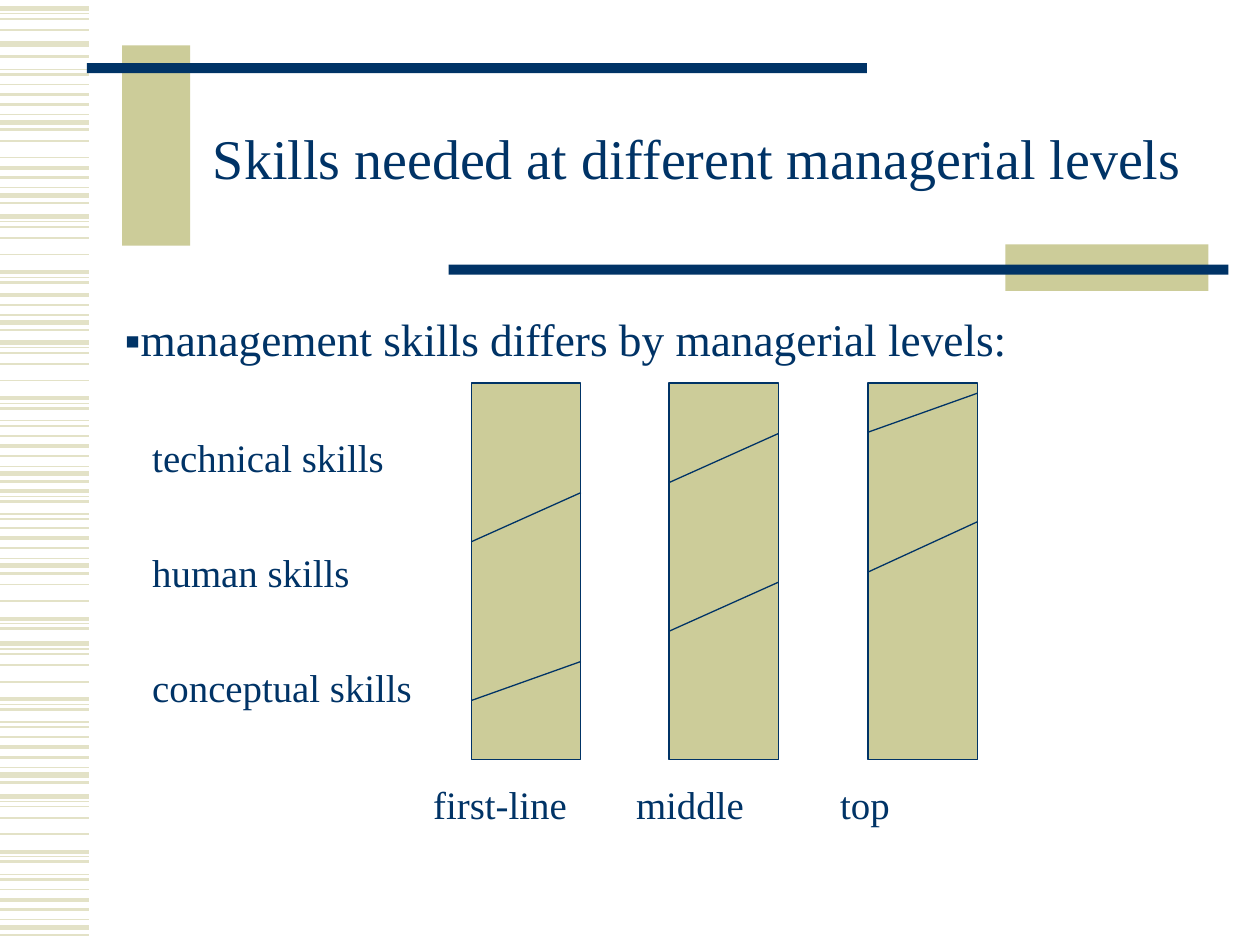
from lxml.etree import SubElement
from pptx import Presentation
from pptx.dml.color import RGBColor
from pptx.enum.shapes import MSO_CONNECTOR as Connector, MSO_SHAPE as Shape
from pptx.enum.text import MSO_ANCHOR as Anchor, PP_ALIGN as Align
from pptx.oxml.ns import qn
from pptx.util import Emu, Pt

NAVY = RGBColor(0x00, 0x33, 0x66)
KHAKI = RGBColor(0xCC, 0xCC, 0x99)
PALE = RGBColor(0xE3, 0xE2, 0xC7)
FONT = "Times New Roman"
EMU_PER_PX = 9144

SHORT_MOTIF = [(0, 1), (8, 2.25), (16, 1.5), (24, 0.75), (30, 3), (36, 1.5)]
LONG_MOTIF = [(0, 3), (4, 0.75), (8, 1), (17, 1), (30, 1),
              (44, 2.25), (48, 0.75), (52, 1.5), (62, 0.75), (66, 1.5)]
STRIPE_RUNS = [
    (7, LONG_MOTIF[:4]), (35, LONG_MOTIF[:1]), (-7, LONG_MOTIF[7:]),
    (67, SHORT_MOTIF), (82, LONG_MOTIF[4:5]), (125, SHORT_MOTIF),
    (172, LONG_MOTIF[:8]), (226, SHORT_MOTIF[1:]), (272, LONG_MOTIF),
    (346, SHORT_MOTIF), (346, LONG_MOTIF[5:]), (419, SHORT_MOTIF),
    (447, LONG_MOTIF[3:8]), (511, LONG_MOTIF), (585, SHORT_MOTIF),
    (632, LONG_MOTIF), (706, SHORT_MOTIF),
]
BARS = [
    ("first-line", 0, -40, [(126, 87), (252, 221)]),
    ("middle", 157, -36, [(79, 40), (197, 158)]),
    ("top", 315, -32, [(39, 8), (150, 110)]),
]
SKILLS = ["technical skills", "human skills", "conceptual skills"]


def px(length):
    return Emu(length * EMU_PER_PX)


def add_line(slide, start, end, color, weight):
    line = slide.shapes.add_connector(
        Connector.STRAIGHT, *map(px, start), *map(px, end))
    line.line.color.rgb = color
    line.line.width = Pt(weight)
    SubElement(line._element.spPr, qn("a:effectLst"))


def add_block(slide, left, top, width, height, fill, outline=None):
    shape = slide.shapes.add_shape(
        Shape.RECTANGLE, *map(px, (left, top, width, height)))
    shape.shadow.inherit = False
    shape.fill.solid()
    shape.fill.fore_color.rgb = fill
    if outline is None:
        shape.line.fill.background()
    else:
        shape.line.color.rgb = outline
        shape.line.width = Pt(0.75)


def add_text_frame(slide, left, top, width, height):
    box = slide.shapes.add_textbox(*map(px, (left, top, width, height)))
    box.text_frame.word_wrap = True
    return box.text_frame


def write(paragraph, text, size):
    paragraph.text = text
    paragraph.font.name = FONT
    paragraph.font.size = Pt(size)
    paragraph.font.color.rgb = NAVY


def add_stripes(slide, left, top, width):
    for start, motif in STRIPE_RUNS:
        for offset, weight in motif:
            y = top + start + offset
            add_line(slide, (left, y), (left + width, y), PALE, weight)


def add_header(slide, left, top):
    add_block(slide, left + 28, top, 54, 159, KHAKI)
    add_block(slide, left, top + 14, 619, 8, NAVY)
    add_block(slide, left + 729, top + 158, 161, 37, KHAKI)
    add_block(slide, left + 287, top + 174, 619, 8, NAVY)

    frame = add_text_frame(slide, left + 81, top + 30, 807, 125)
    frame.vertical_anchor = Anchor.MIDDLE
    paragraph = frame.paragraphs[0]
    write(paragraph, "Skills needed at different managerial levels", 32)
    paragraph.alignment = Align.CENTER
    paragraph.line_spacing = 0.85


def add_body(slide, left, top, width, height):
    frame = add_text_frame(slide, left, top, width, height)
    write(frame.paragraphs[0],
          "▪management skills differs by managerial levels:", 25.9)
    for skill in SKILLS:
        paragraph = frame.add_paragraph()
        write(paragraph, skill, 22.2)
        paragraph.space_before = Pt(39)
        paragraph._p.get_or_add_pPr().set("marL", str(px(22)))


def add_bars(slide, left, top, width, height):
    for level, offset, label_shift, cuts in BARS:
        x = left + offset
        add_block(slide, x, top, width, height, KHAKI, NAVY)
        for start, end in cuts:
            add_line(slide, (x, top + start), (x + width, top + end), NAVY, 0.75)
        label = add_text_frame(slide, x + label_shift, top + 311, 140, 45)
        write(label.paragraphs[0], level, 22.2)
    dot = (left + 134, top + 8)
    add_line(slide, dot, dot, NAVY, 0.75)


def main():
    presentation = Presentation()
    presentation.slide_width = px(1000)
    presentation.slide_height = px(750)
    slide = presentation.slides.add_slide(presentation.slide_layouts[6])
    add_stripes(slide, 0, 0, 71)
    add_header(slide, 69, 36)
    add_body(slide, 89, 242, 870, 350)
    add_bars(slide, 374, 304, 87, 299)
    presentation.save("out.pptx")


if __name__ == "__main__":
    main()
